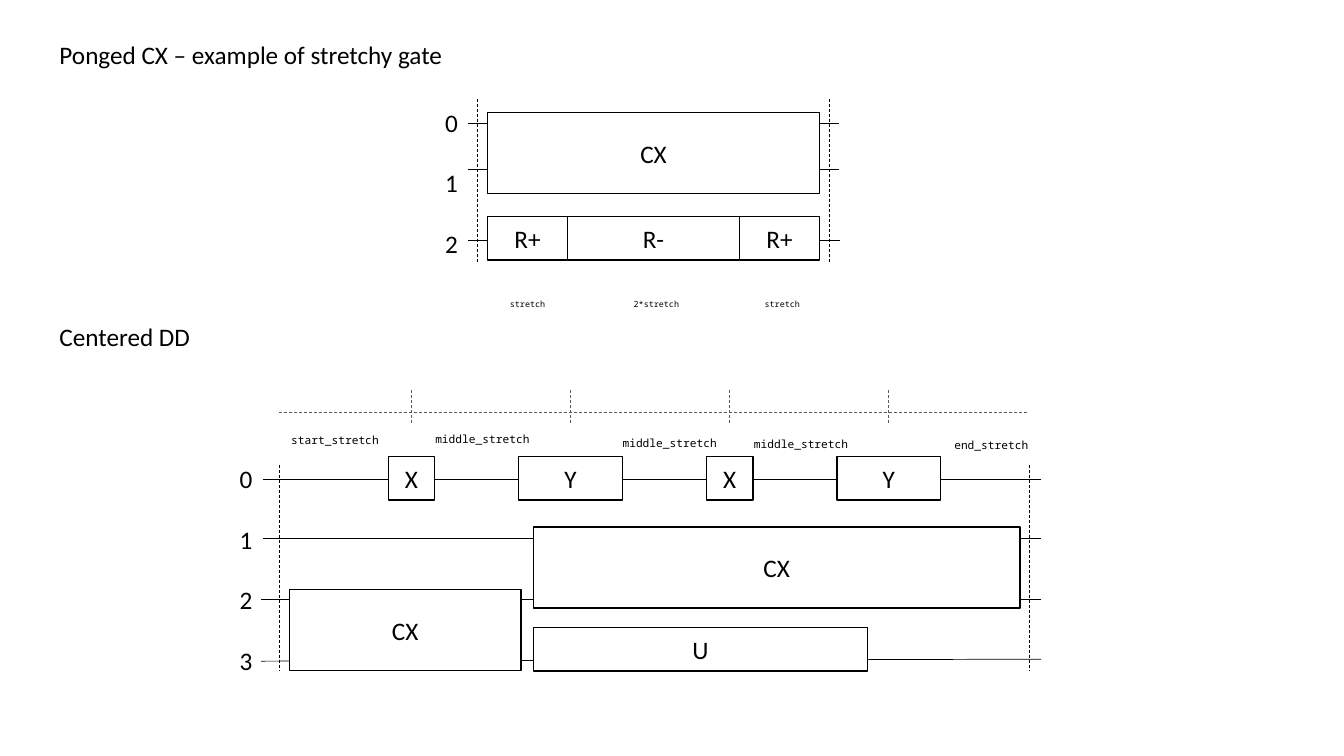
from lxml.etree import SubElement
from pptx import Presentation
from pptx.dml.color import RGBColor
from pptx.enum.dml import MSO_LINE
from pptx.enum.shapes import MSO_CONNECTOR, MSO_SHAPE
from pptx.enum.text import MSO_ANCHOR, MSO_AUTO_SIZE, PP_ALIGN
from pptx.oxml.ns import qn
from pptx.util import Cm, Pt

BLACK, GRAY, WHITE = "000000", "595959", "FFFFFF"
BODY_FONT, CODE_FONT = "Calibri", "Noto Sans Mono"
GATE_HEIGHT, CX_HEIGHT = 1.09, 2.04


def color(value):
    """Turn a hex string into a colour."""
    return RGBColor.from_string(value)


def add_run(paragraph, text, size=18, font=BODY_FONT):
    """Append one black run to a paragraph."""
    run = paragraph.add_run()
    run.text = text
    run.font.size = Pt(size)
    run.font.name = font
    run.font.color.rgb = color(BLACK)


def add_text(slide, left, top, width, height, text, size=18, font=BODY_FONT, wrap=False):
    """Place a one-line text box."""
    shape = slide.shapes.add_textbox(Cm(left), Cm(top), Cm(width), Cm(height))
    shape.text_frame.word_wrap = wrap
    shape.text_frame.auto_size = MSO_AUTO_SIZE.SHAPE_TO_FIT_TEXT
    add_run(shape.text_frame.paragraphs[0], text, size, font)


def add_qubit_labels(slide, left, top, height, count):
    """Number the qubits from top to bottom in one double-spaced box."""
    shape = slide.shapes.add_textbox(Cm(left), Cm(top), Cm(0.84), Cm(height))
    frame = shape.text_frame
    frame.word_wrap = False
    frame.auto_size = MSO_AUTO_SIZE.SHAPE_TO_FIT_TEXT
    frame.vertical_anchor = MSO_ANCHOR.MIDDLE
    for qubit in range(count):
        paragraph = frame.add_paragraph() if qubit else frame.paragraphs[0]
        paragraph.line_spacing = 2.0
        add_run(paragraph, str(qubit))


def add_line(slide, start_x, start_y, end_x, end_y, line_color=BLACK, dashed=False):
    """Draw a thin straight line."""
    connector = slide.shapes.add_connector(
        MSO_CONNECTOR.STRAIGHT, Cm(start_x), Cm(start_y), Cm(end_x), Cm(end_y))
    connector.line.color.rgb = color(line_color)
    connector.line.width = Pt(0.5)
    if dashed:
        connector.line.dash_style = MSO_LINE.DASH
    SubElement(connector._element.spPr, qn("a:effectLst"))


def add_gate(slide, left, top, width, height, name, filled=True):
    """Draw an outlined gate with its name in the centre."""
    shape = slide.shapes.add_shape(
        MSO_SHAPE.RECTANGLE, Cm(left), Cm(top), Cm(width), Cm(height))
    shape.shadow.inherit = False
    if filled:
        shape.fill.solid()
        shape.fill.fore_color.rgb = color(WHITE)
    else:
        shape.fill.background()
    shape.line.color.rgb = color(BLACK)
    shape.line.width = Pt(1)
    shape.text_frame.vertical_anchor = MSO_ANCHOR.MIDDLE
    paragraph = shape.text_frame.paragraphs[0]
    paragraph.alignment = PP_ALIGN.CENTER
    add_run(paragraph, name)


def add_ponged_cx(slide, left, top):
    """Draw the CX gate with stretchy rotations on the third qubit."""
    add_line(slide, left + 0.82, top + 4.15, left + 10.19, top + 4.15)
    add_gate(slide, left + 1.32, top + 0.94, 8.36, CX_HEIGHT, "CX", filled=False)
    for wire_y in (1.22, 2.37):
        for stub_x in (0.82, 9.68):
            add_line(slide, left + stub_x, top + wire_y, left + stub_x + 0.5, top + wire_y)
    add_qubit_labels(slide, left, top, 4.65, 3)
    for barrier_x in (1.07, 9.93):
        add_line(slide, left + barrier_x, top + 0.59, left + barrier_x, top + 4.7, dashed=True)
    gate_x = left + 1.32
    for name, width in (("R+", 2.01), ("R-", 4.34), ("R+", 2.01)):
        add_gate(slide, gate_x, top + 3.56, width, GATE_HEIGHT, name)
        gate_x += width
    for text, text_x, width in (("stretch", 1.63, 1.45), ("2*stretch", 4.75, 1.72),
                                ("stretch", 8.05, 1.45)):
        add_text(slide, left + text_x, top + 5.5, width, 0.5, text, 6, CODE_FONT, True)


def add_centered_dd(slide, left, top):
    """Draw the four-qubit circuit with evenly centred X and Y gates."""
    for start_x, start_y, end_y in ((0.84, 2.24, 2.24), (0.84, 3.73, 3.73),
                                    (0.79, 5.28, 5.28), (0.79, 6.83, 6.78)):
        add_line(slide, left + start_x, top + start_y, left + 20.45, top + end_y)
    for name, gate_x, gate_y, width, height in (
            ("CX", 7.65, 3.45, 12.27, CX_HEIGHT),
            ("U", 7.65, 5.99, 8.43, GATE_HEIGHT),
            ("CX", 1.5, 5.03, 5.84, CX_HEIGHT)):
        add_gate(slide, left + gate_x, top + gate_y, width, height, name)
    add_qubit_labels(slide, left, top + 1.04, 6.2, 4)
    for barrier_x in (1.25, 20.14):
        add_line(slide, left + barrier_x, top + 1.88, left + barrier_x, top + 7.09, dashed=True)
    add_line(slide, left + 1.25, top + 0.56, left + 20.14, top + 0.56, GRAY, True)
    for index, (name, width) in enumerate((("X", 1.17), ("Y", 2.62)) * 2):
        center = left + 4.58 + 4.01 * index
        add_line(slide, center, top, center, top + 0.84, GRAY, True)
        add_gate(slide, center - width / 2, top + 1.68, width, GATE_HEIGHT, name)
    for text, text_x, text_y, width in (
            ("start_stretch", 1.3, 0.97, 2.75),
            ("middle_stretch", 4.93, 0.94, 2.97),
            ("middle_stretch", 9.65, 1.04, 2.97),
            ("middle_stretch", 12.96, 1.07, 2.97),
            ("end_stretch", 18.01, 1.09, 2.41)):
        add_text(slide, left + text_x, top + text_y, width, 0.6, text, 8, CODE_FONT, True)


def main():
    """Build the slide and save it."""
    presentation = Presentation()
    presentation.slide_width = Cm(33.87)
    presentation.slide_height = Cm(19.05)
    slide = presentation.slides.add_slide(presentation.slide_layouts[6])
    add_text(slide, 1.25, 0.87, 10.28, 1.03, "Ponged CX – example of stretchy gate")
    add_text(slide, 1.25, 7.98, 3.86, 1.03, "Centered DD")
    add_ponged_cx(slide, 10.97, 1.9)
    add_centered_dd(slide, 5.79, 9.83)
    presentation.save("out.pptx")


if __name__ == "__main__":
    main()
